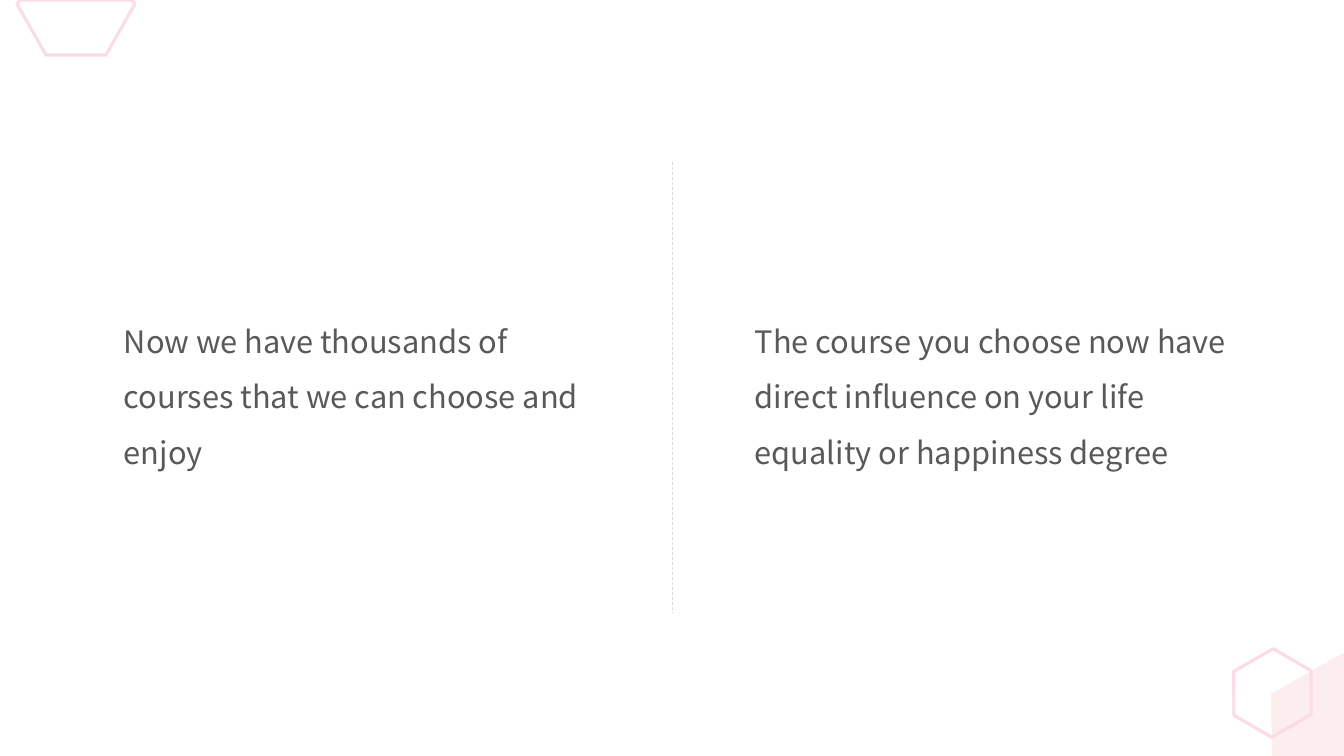
"""Build a two-column text slide with a dashed divider and hexagon corner ornaments."""
from lxml.etree import SubElement
from pptx import Presentation
from pptx.dml.color import RGBColor
from pptx.enum.dml import MSO_LINE
from pptx.enum.shapes import MSO_CONNECTOR, MSO_SHAPE
from pptx.enum.text import MSO_ANCHOR, PP_ALIGN
from pptx.oxml.ns import qn
from pptx.util import Emu, Pt

SCALE = 914400 / 100.8
COLORS = {"outline": "FBDBE5", "facet": "FADEE0", "divider": "D9D9D9", "text": "595959"}
TOP, HEIGHT = 162, 451


def px(*lengths):
    return [Emu(round(length * SCALE)) for length in lengths]


def color(name):
    return RGBColor.from_string(COLORS[name])


deck = Presentation()
deck.slide_width, deck.slide_height = px(1344, 756)
page = deck.slides.add_slide(deck.slide_layouts[6])

hexagon = page.shapes.add_shape(MSO_SHAPE.HEXAGON, *px(1228, 655, 89, 76))
hexagon.rotation = 330
hexagon.adjustments[0] = 0.286

outlines = {
    "facet": [(1343, 653), (1344, 654), (1344, 756), (1272, 756), (1271, 694)],
    "trapezoid": [(20, 0), (132, 0), (135, 4), (106, 55), (46, 55), (17, 4)],
}
ornaments = {"hexagon": hexagon}
for name, points in outlines.items():
    builder = page.shapes.build_freeform(*points[0], scale=SCALE)
    builder.add_line_segments(points[1:], close=True)
    ornaments[name] = builder.convert_to_shape()

for name, ornament in ornaments.items():
    ornament.shadow.inherit = False
    if name == "facet":
        ornament.fill.solid()
        ornament.fill.fore_color.rgb = color("facet")
        tint = ornament.fill._xPr.find(qn("a:solidFill"))[0]
        SubElement(tint, qn("a:alpha"), val="53000")
        ornament.line.fill.background()
    else:
        ornament.fill.background()
        ornament.line.color.rgb = color("outline")
        ornament.line.width = Pt(2.25)

divider = page.shapes.add_connector(MSO_CONNECTOR.STRAIGHT, *px(672, TOP, 672, TOP + HEIGHT))
divider.line.color.rgb = color("divider")
divider.line.width = Pt(0.5)
divider.line.dash_style = MSO_LINE.DASH
SubElement(divider._element.spPr, qn("a:effectLst"))

columns = [
    (114, "Now we have thousands of courses that we can choose and enjoy"),
    (745, "The course you choose now have direct influence on your life equality or happiness degree"),
]
text_format = {"name": "Noto Sans CJK SC", "size": Pt(22)}
for left, words in columns:
    box = page.shapes.add_textbox(*px(left, TOP, 508, HEIGHT))
    frame = box.text_frame
    frame.word_wrap = True
    frame.vertical_anchor = MSO_ANCHOR.MIDDLE
    para = frame.paragraphs[0]
    para.alignment = PP_ALIGN.LEFT
    para.line_spacing = 1.5
    span = para.add_run()
    span.text = words
    span.font.color.rgb = color("text")
    for attribute, value in text_format.items():
        setattr(span.font, attribute, value)

deck.save("out.pptx")
